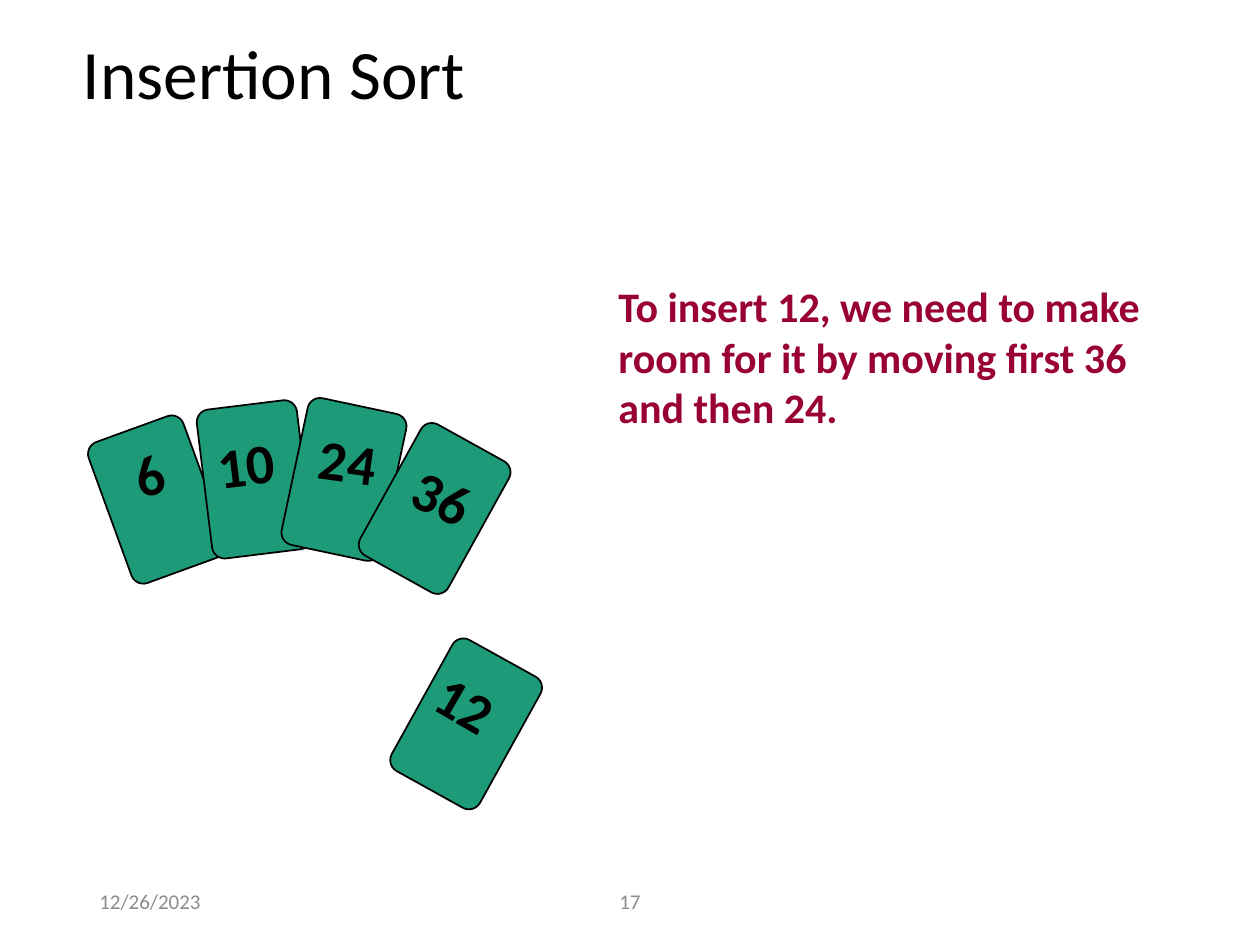
from dataclasses import dataclass

from pptx import Presentation
from pptx import util as u
from pptx.dml.color import RGBColor
from pptx.enum import shapes, text

COLUMNS, ROWS = 100, 75
CELL = u.Inches(0.1)
CARD_SIZE = (8, 11.9)
FONT = "Calibri"
BLACK = RGBColor(0x00, 0x00, 0x00)
GREEN = RGBColor(0x1D, 0x9A, 0x78)
CRIMSON = RGBColor(0x99, 0x00, 0x33)
GRAY = RGBColor(0x8C, 0x8C, 0x8C)


@dataclass(frozen=True)
class Box:
    col: float
    row: float
    cols: float
    rows: float

    def emu(self) -> list[int]:
        return [round(n * CELL) for n in (self.col, self.row, self.cols, self.rows)]


@dataclass(frozen=True)
class Label:
    words: str
    box: Box
    size: float
    color: RGBColor = BLACK
    bold: bool = False
    anchor: text.MSO_ANCHOR = text.MSO_ANCHOR.TOP
    align: text.PP_ALIGN = text.PP_ALIGN.LEFT
    spacing: float = 1.0
    wrap: bool = True
    fit: bool = False
    angle: float = 0


@dataclass(frozen=True)
class Card:
    number: str
    col: float
    row: float
    angle: float
    number_box: Box
    number_angle: float


CARDS = [
    Card("6", 8.5, 33.7, 340, Box(9.7, 34.4, 4.5, 6.3), 341),
    Card("10", 16.2, 32.1, 353, Box(16.3, 33.6, 7, 6.3), 353),
    Card("24", 23.3, 32.1, 12, Box(24.4, 33.4, 7, 6.3), 8),
    Card("12", 33, 51.5, 29, Box(33.7, 52.8, 7, 6.3), 30),
    Card("36", 30.5, 34.4, 29, Box(31.9, 36.3, 7, 6.3), 25),
]

LABELS = [
    Label("Insertion Sort", Box(5.6, 6.8, 69.2, 2.8), 39.6,
          anchor=text.MSO_ANCHOR.BOTTOM, spacing=0.9),
    Label("To insert 12, we need to make room for it by moving first 36 and then 24.",
          Box(48.1, 21.8, 46.6, 13), 24, CRIMSON, bold=True, fit=True),
    Label("12/26/2023", Box(6.9, 69.5, 22.5, 4), 12, GRAY,
          anchor=text.MSO_ANCHOR.MIDDLE),
    Label("17", Box(33.1, 69.5, 33.8, 4), 12, GRAY,
          anchor=text.MSO_ANCHOR.MIDDLE, align=text.PP_ALIGN.CENTER),
]


def add_label(s, label: Label) -> None:
    sp = s.shapes.add_textbox(*label.box.emu())
    sp.rotation = label.angle
    tf = sp.text_frame
    tf.word_wrap = label.wrap
    tf.vertical_anchor = label.anchor
    fits = text.MSO_AUTO_SIZE
    tf.auto_size = fits.SHAPE_TO_FIT_TEXT if label.fit else fits.NONE
    p = tf.paragraphs[0]
    p.alignment = label.align
    p.line_spacing = label.spacing
    r = p.add_run()
    r.text = label.words
    r.font.name = FONT
    r.font.size = u.Pt(label.size)
    r.font.bold = label.bold
    r.font.color.rgb = label.color


def add_card(s, card: Card) -> None:
    sp = s.shapes.add_shape(shapes.MSO_SHAPE.ROUNDED_RECTANGLE,
                            *Box(card.col, card.row, *CARD_SIZE).emu())
    sp.adjustments[0] = 0.125
    sp.rotation = card.angle
    sp.shadow.inherit = False
    sp.fill.solid()
    sp.fill.fore_color.rgb = GREEN
    sp.line.color.rgb = BLACK
    sp.line.width = u.Pt(1)
    add_label(s, Label(card.number, card.number_box, 32, bold=True, wrap=False,
                       fit=True, angle=card.number_angle))


def main() -> None:
    prs = Presentation()
    prs.slide_width = COLUMNS * CELL
    prs.slide_height = ROWS * CELL
    s = prs.slides.add_slide(prs.slide_layouts[6])
    for label in LABELS:
        add_label(s, label)
    for card in CARDS:
        add_card(s, card)
    prs.save("out.pptx")


if __name__ == "__main__":
    main()
